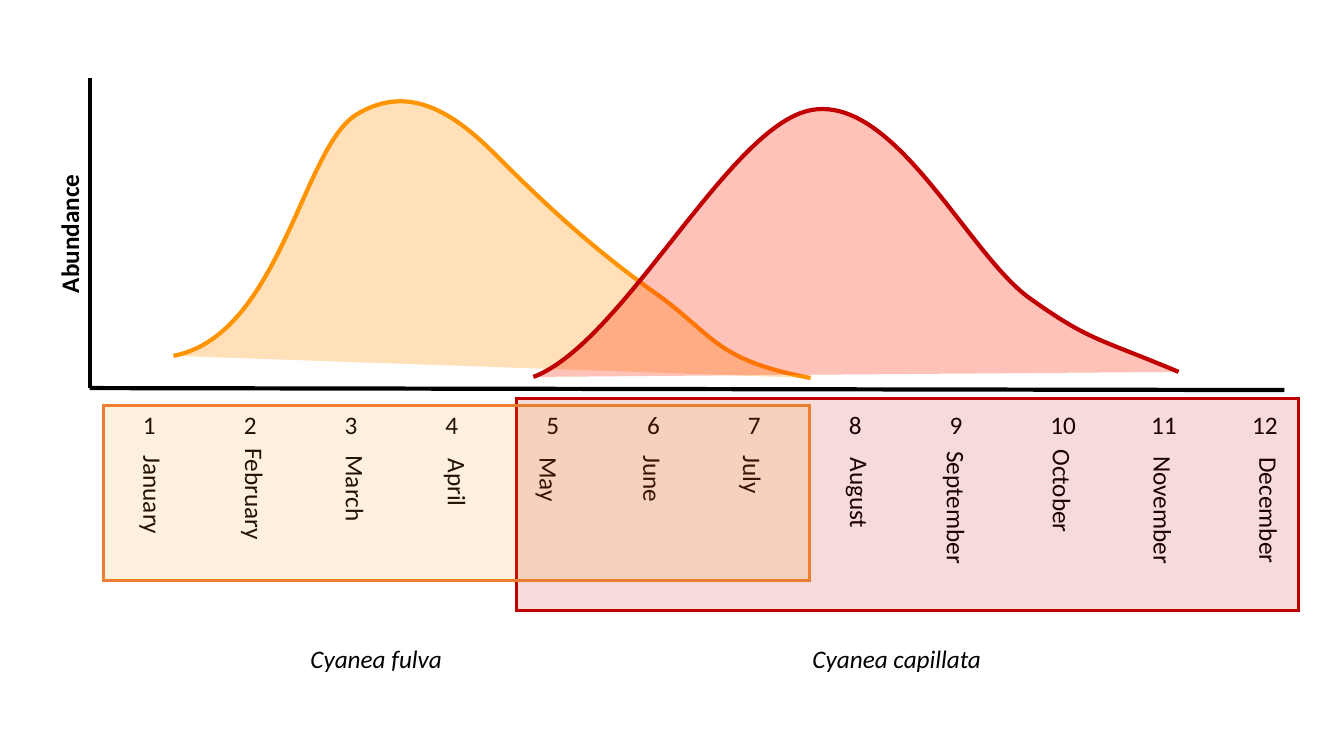
from dataclasses import dataclass

from lxml.etree import SubElement
from pptx import Presentation
from pptx.dml.color import RGBColor
from pptx.enum.shapes import MSO_CONNECTOR as CONN, MSO_SHAPE as SHAPE
from pptx.enum.text import MSO_AUTO_SIZE as AUTO
from pptx.oxml.ns import qn
from pptx.util import Inches, Pt


@dataclass(frozen=True)
class Theme:
    font: str = "Calibri"
    size: int = 18
    ink: str = "000000"
    amber: str = "FF9300"
    orange: str = "ED7D31"
    red: str = "FF2600"
    crimson: str = "C00000"
    curve_width: float = 3
    frame_width: float = 2.25


class SlideBuilder:
    """Draws on one slide; lengths are columns and rows, one month to a column."""
    COL = ROW = Inches(1)
    LINE_HEIGHT = 0.4

    def __init__(self, s, theme):
        self.s, self.theme = s, theme

    def grid(self, x, y):
        return int(x * self.COL), int(y * self.ROW)

    def text(self, x, y, w, words, rotation=0, wrap=False, bold=None, italic=None):
        box = self.s.shapes.add_textbox(*self.grid(x, y), *self.grid(w, self.LINE_HEIGHT))
        box.rotation = rotation
        tf = box.text_frame
        tf.word_wrap = wrap
        tf.auto_size = AUTO.SHAPE_TO_FIT_TEXT
        p = tf.paragraphs[0]
        r = p.add_run()
        r.text = words
        r.font.name, r.font.size = self.theme.font, Pt(self.theme.size)
        r.font.bold, r.font.italic = bold, italic
        r.font.color.rgb = RGBColor.from_string(self.theme.ink)
        return p

    def tabbed_text(self, x, y, w, words):
        """One line of words, each starting a column after the one before."""
        p = self.text(x, y, w, "\t".join(words))
        tabs = SubElement(p._p.get_or_add_pPr(), qn("a:tabLst"))
        for n in range(1, len(words)):
            SubElement(tabs, qn("a:tab"), pos=str(n * self.COL), algn="l")

    def hanging_text(self, x, top, words, length=1.4):
        """Text turned to read downwards, centred on x and starting at top."""
        self.text(x - length / 2, top + (length - self.LINE_HEIGHT) / 2, length,
                  words, rotation=90, wrap=True)

    def axis(self, start, end):
        line = self.s.shapes.add_connector(CONN.STRAIGHT, *self.grid(*start), *self.grid(*end))
        line.line.color.rgb = RGBColor.from_string(self.theme.ink)
        line.line.width = Pt(self.theme.curve_width)
        SubElement(line._element.spPr, qn("a:effectLst"))

    def paint(self, sp, fill, opacity, line, width):
        sp.shadow.inherit = False
        sp.fill.solid()
        sp.fill.fore_color.rgb = RGBColor.from_string(fill)
        color = sp._element.spPr.find(qn("a:solidFill"))[0]
        SubElement(color, qn("a:alpha"), val=str(opacity * 1000))
        sp.line.color.rgb = RGBColor.from_string(line)
        sp.line.width = Pt(width)
        SubElement(sp._element.spPr.find(qn("a:ln")), qn("a:miter"), lim="800000")

    def season(self, x, y, w, h, fill, opacity, line):
        sp = self.s.shapes.add_shape(SHAPE.RECTANGLE, *self.grid(x, y), *self.grid(w, h))
        self.paint(sp, fill, opacity, line, self.theme.frame_width)

    def hump(self, x, y, w, h, start, curves, fill, line):
        """An open chain of cubic curves, each given as two controls and an end."""
        builder = self.s.shapes.build_freeform(*self.grid(x, y))
        builder.add_line_segments([self.grid(x + w, y + h)], close=False)
        sp = builder.convert_to_shape()
        outline = sp._element.spPr.find(".//" + qn("a:path"))
        for step in list(outline):
            outline.remove(step)
        for tag, points in [("a:moveTo", [start])] + [("a:cubicBezTo", c) for c in curves]:
            step = SubElement(outline, qn(tag))
            for px, py in points:
                left, top = self.grid(px - x, py - y)
                SubElement(step, qn("a:pt"), x=str(left), y=str(top))
        self.paint(sp, fill, 28, line, self.theme.curve_width)


MONTHS = (  # name, centre, top
    ("January", 1.52, 4.42), ("February", 2.53, 4.35), ("March", 3.53, 4.42),
    ("April", 4.54, 4.45), ("May", 5.45, 4.44), ("June", 6.48, 4.42),
    ("July", 7.47, 4.42), ("August", 8.53, 4.44), ("September", 9.49, 4.38),
    ("October", 10.54, 4.36), ("November", 11.54, 4.43), ("December", 12.59, 4.44))
FULVA = ((1.72, 3.53), (
    ((2.77, 3.33), (3, 1.47), (3.53, 1.14)),
    ((4.06, 0.81), (4.52, 1.14), (4.91, 1.53)),
    ((5.3, 1.92), (5.78, 2.39), (6.46, 2.88)),
    ((7.08, 3.31), (7.07, 3.57), (8.04, 3.75))))
CAPILLATA = ((11.69, 3.69), (
    ((10.88, 3.35), (10.8, 3.38), (10.2, 2.95)),
    ((9.6, 2.51), (8.88, 0.96), (8.06, 1.09)),
    ((7.24, 1.22), (6.19, 3.4), (5.29, 3.74))))
ORIGIN = (0.89, 3.85)


def main():
    prs = Presentation()
    prs.slide_width, prs.slide_height = Inches(13.33), Inches(7.5)
    theme = Theme()
    b = SlideBuilder(prs.slides.add_slide(prs.slide_layouts[6]), theme)

    b.axis(ORIGIN, (12.74, 3.87))
    b.tabbed_text(1.32, 4.01, 11.57, [str(n + 1) for n in range(len(MONTHS))])
    for name, centre, top in MONTHS:
        b.hanging_text(centre, top, name)

    b.season(5.12, 3.95, 7.76, 2.11, theme.crimson, 14, theme.crimson)
    b.season(1.03, 4.02, 7, 1.74, theme.amber, 13, theme.orange)
    b.hump(1.72, 1, 6.32, 2.75, *FULVA, theme.amber, theme.amber)
    b.hump(5.29, 1.08, 6.4, 2.66, *CAPILLATA, theme.red, theme.crimson)

    b.text(2.98, 6.33, 1.52, "Cyanea fulva", italic=True)
    b.text(7.96, 6.33, 1.89, "Cyanea capillata", italic=True)
    b.axis(ORIGIN, (0.89, 0.77))
    b.text(-0.01, 2.11, 1.39, "Abundance", rotation=270, bold=True)
    prs.save("out.pptx")


if __name__ == "__main__":
    main()
